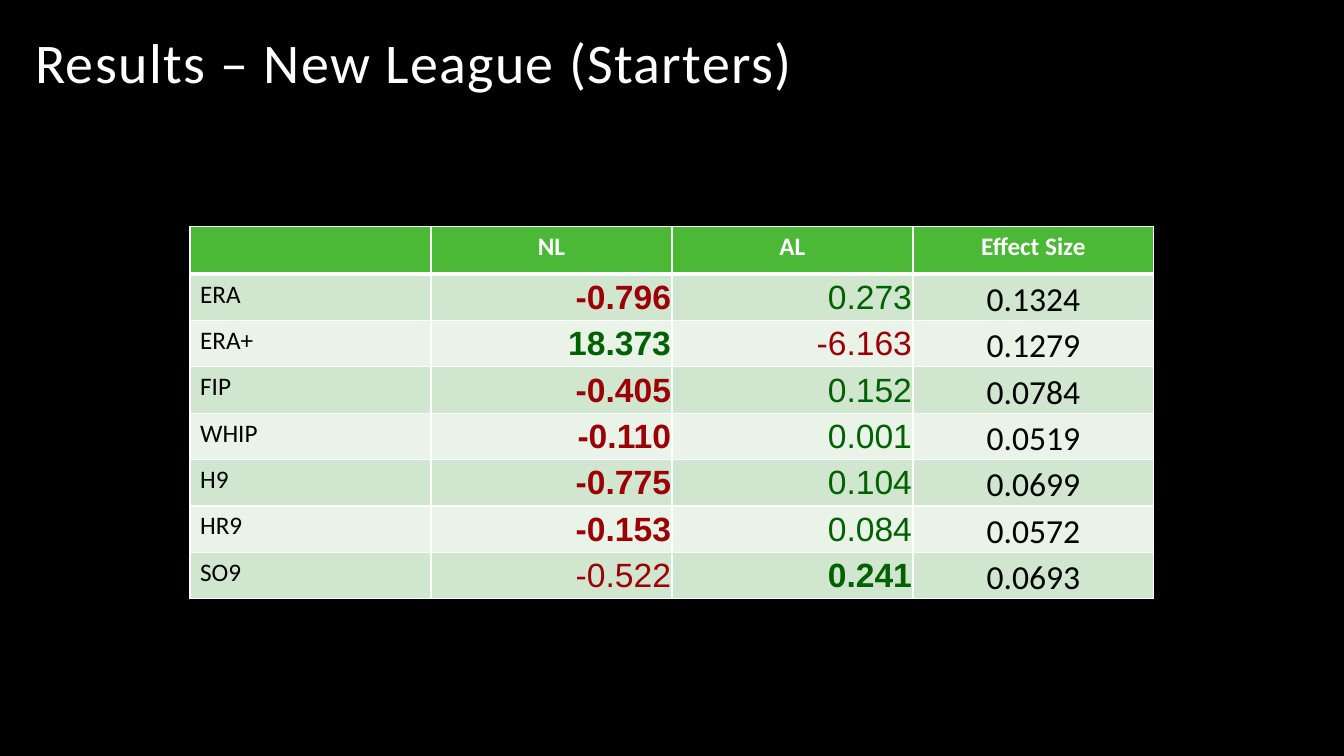
"""Build the slide with the New League starters results table."""
from lxml import etree
from pptx import Presentation, util as u
from pptx.dml.color import RGBColor
from pptx.enum import text
from pptx.oxml import ns

W, H = 13.33, 7.5
COL_W, HEAD_H, ROW_H = 2.39, 0.47, 0.46
WHITE, BLACK, RED, GREEN = "FFFFFF", "000000", "9C0006", "006100"
HEAD_FILL, BANDS = "4BB836", ("D0E6CE", "E9F3E8")
LEFT, CENTER, RIGHT = text.PP_ALIGN.LEFT, text.PP_ALIGN.CENTER, text.PP_ALIGN.RIGHT
TOP, MIDDLE, BOTTOM = text.MSO_ANCHOR.TOP, text.MSO_ANCHOR.MIDDLE, text.MSO_ANCHOR.BOTTOM

header = ("", "NL", "AL", "Effect Size")
results = [
    ("ERA", "-0.796", "0.273", "0.1324"),
    ("ERA+", "18.373", "-6.163", "0.1279"),
    ("FIP", "-0.405", "0.152", "0.0784"),
    ("WHIP", "-0.110", "0.001", "0.0519"),
    ("H9", "-0.775", "0.104", "0.0699"),
    ("HR9", "-0.153", "0.084", "0.0572"),
    ("SO9", "-0.522", "0.241", "0.0693"),
]


def rgb(color):
    return RGBColor.from_string(color)


def write(tf, words, size=18, font="Calibri", color=BLACK, bold=False, align=LEFT):
    p = tf.paragraphs[0]
    p.alignment = align
    if words:
        r = p.add_run()
        r.text = words
        r.font.size, r.font.name, r.font.bold = u.Pt(size), font, bold
        r.font.color.rgb = rgb(color)
    return p


prs = Presentation()
prs.slide_width, prs.slide_height = u.Inches(W), u.Inches(H)
s = prs.slides.add_slide(prs.slide_layouts[5])
s.background.fill.solid()
s.background.fill.fore_color.rgb = rgb(BLACK)

title = s.shapes.title
title.left, title.top, title.width, title.height = map(u.Inches, (0.25, 0.25, 10, 0.75))
title.text_frame.vertical_anchor = BOTTOM
title.text_frame.word_wrap = True
p = write(title.text_frame, "Results – New League (Starters)", size=40, color=WHITE)
p.line_spacing = 0.9
p.runs[0].font._element.set("spc", "100")

rows = [header] + results
cols = len(header)
table_w = cols * COL_W
frame = s.shapes.add_table(len(rows), cols, u.Inches((W - table_w) / 2), u.Inches(0.3 * H),
                           u.Inches(table_w), u.Inches(HEAD_H + len(results) * ROW_H))
table = frame.table
for col in table.columns:
    col.width = u.Inches(COL_W)

for i, row in enumerate(rows):
    table.rows[i].height = u.Inches(ROW_H if i else HEAD_H)
    for j, words in enumerate(row):
        cell = table.cell(i, j)
        anchor = TOP
        if i == 0:
            style = dict(color=WHITE, bold=True, align=CENTER)
        elif j == 0:
            style = dict()
        elif j == cols - 1:
            style, anchor = dict(size=24, align=CENTER), BOTTOM
        else:
            style = dict(size=24, font="Arial", align=RIGHT,
                         color=RED if words.startswith("-") else GREEN,
                         bold=(j == 2) == (row[0] == "SO9"))
            anchor = MIDDLE
        write(cell.text_frame, words, **style)
        cell.vertical_anchor = anchor
        if i and j:
            cell.margin_left = cell.margin_right = cell.margin_top = u.Inches(0.01)
            cell.margin_bottom = 0

        tcPr = cell._tc.get_or_add_tcPr()
        for side in ("L", "R", "T", "B"):
            heavy = (i, side) in ((0, "B"), (1, "T"))
            ln = etree.SubElement(tcPr, ns.qn(f"a:ln{side}"), w=str(u.Pt(3 if heavy else 1)))
            fill = etree.SubElement(ln, ns.qn("a:solidFill"))
            etree.SubElement(fill, ns.qn("a:srgbClr"), val=WHITE)
        cell.fill.solid()
        cell.fill.fore_color.rgb = rgb(BANDS[(i - 1) % 2] if i else HEAD_FILL)

prs.save("out.pptx")
